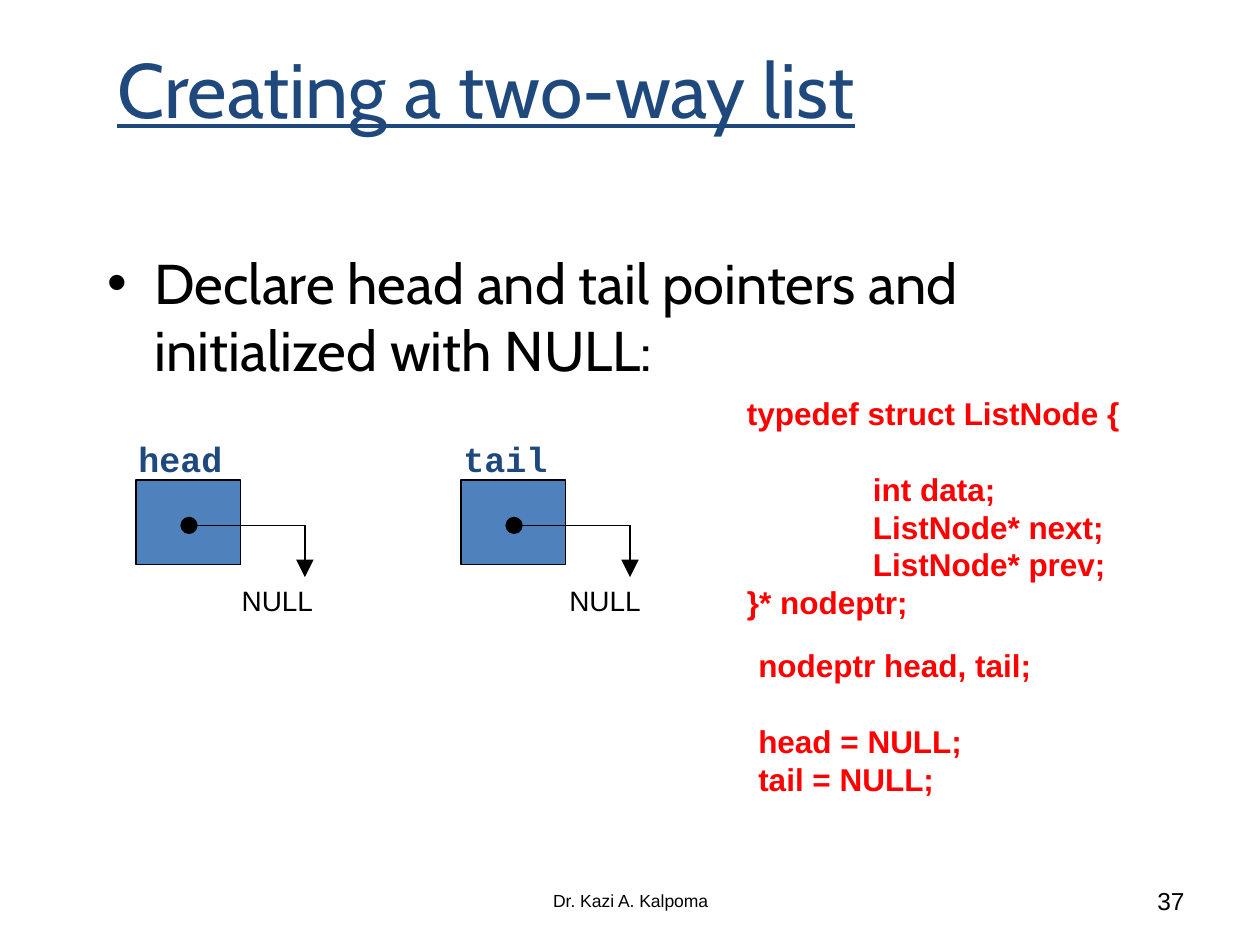
from pptx import Presentation
from pptx.dml.color import RGBColor
from pptx.enum.shapes import MSO_CONNECTOR as CONN, MSO_SHAPE as SHAPE
from pptx.enum.text import MSO_ANCHOR as ANCHOR, MSO_AUTO_SIZE as FIT, PP_ALIGN as ALIGN
from pptx.oxml.ns import qn
from pptx.util import Inches, Pt
from lxml.etree import SubElement

# Content
TITLE = "Creating a two-way list"
BODY = "Declare head and tail pointers and initialized with NULL:"
POINTERS = ["head", "tail"]
TARGET = "NULL"
AUTHOR, NUMBER = "Dr. Kazi A. Kalpoma", "37"
# Code lines: text, indent in inches, blank lines above
STRUCT = [
    ("typedef struct ListNode {", 0, 0),
    ("int data;", 1, 1),
    ("ListNode* next;", 1, 0),
    ("ListNode* prev;", 1, 0),
    ("}* nodeptr;", 0, 0),
]
INIT = [
    ("nodeptr head, tail;", 0, 0),
    ("head = NULL;", 0, 1),
    ("tail = NULL;", 0, 0),
]

COLORS = {"navy": "1F497D", "box": "4F81BD", "code": "FF0000", "ink": "000000"}
SANS, MONO, HEADING = "Arial", "Courier New", "Cabin"
CODE_SIZE, CODE_LINE = 18, 21.6
DIAGRAM_LEFT, DIAGRAM_STEP = 1.0, 2.58


def color(name):
    return RGBColor.from_string(COLORS[name])


def place(sp, x, y, w, h):
    sp.left, sp.top, sp.width, sp.height = (Inches(v) for v in (x, y, w, h))


def write(p, text, size, font, ink, bold=False, align=ALIGN.LEFT):
    p.alignment = align
    p.space_before = Pt(0)
    r = p.add_run()
    r.text = text
    r.font.size, r.font.name, r.font.bold = Pt(size), font, bold
    r.font.color.rgb = color(ink)
    return r


def text_box(shapes, x, y, w, h, anchor=ANCHOR.TOP):
    tf = shapes.add_textbox(*(Inches(v) for v in (x, y, w, h))).text_frame
    tf.word_wrap, tf.vertical_anchor = True, anchor
    return tf


def code_block(shapes, lines, x, y, w, h):
    tf = text_box(shapes, x, y, w, h)
    for i, (text, indent, blanks) in enumerate(lines):
        p = tf.paragraphs[0] if i == 0 else tf.add_paragraph()
        write(p, text, CODE_SIZE, SANS, "code", bold=True)
        p.line_spacing = Pt(CODE_LINE)
        p.space_before = Pt(blanks * CODE_LINE)
        p._p.get_or_add_pPr().set("marL", str(Inches(indent)))


def line(shapes, x1, y1, x2, y2, end, kind):
    cx = shapes.add_connector(CONN.STRAIGHT, *(Inches(v) for v in (x1, y1, x2, y2)))
    cx.line.color.rgb, cx.line.width = color("ink"), Pt(1)
    SubElement(cx.line._get_or_add_ln(), qn("a:" + end), type=kind, w="lg", len="lg")
    SubElement(cx._element.spPr, qn("a:effectLst"))


def pointer(shapes, name, x):
    sp = shapes.add_shape(SHAPE.RECTANGLE, *(Inches(v) for v in (x + 0.08, 3.81, 0.83, 0.67)))
    sp.shadow.inherit = False
    sp.fill.solid()
    sp.fill.fore_color.rgb = color("box")
    sp.line.color.rgb, sp.line.width = color("ink"), Pt(1)
    tf = text_box(shapes, x, 3.42, 1.17, 0.44)
    write(tf.paragraphs[0], name, 20, MONO, "navy", bold=True)
    line(shapes, x + 0.5, 4.17, x + 1.42, 4.17, "headEnd", "oval")
    line(shapes, x + 1.42, 4.17, x + 1.42, 4.58, "tailEnd", "triangle")


prs = Presentation()
prs.slide_width, prs.slide_height = Inches(10), Inches(7.5)
s = prs.slides.add_slide(prs.slide_layouts[1])
title, body = s.placeholders

# Title and bullet
place(title, 0.83, 0.08, 7.25, 1.23)
place(body, 0.75, 1.92, 8.5, 0.75)
for sp, text, size, ink in ((title, TITLE, 44, "navy"), (body, BODY, 32, "ink")):
    sp.text_frame.auto_size = FIT.NONE
    r = write(sp.text_frame.paragraphs[0], text, size, HEADING, ink)
    r.font.underline = sp is title

# Pointer diagrams, each pointing at NULL
for i, name in enumerate(POINTERS):
    x = DIAGRAM_LEFT + i * DIAGRAM_STEP
    pointer(s.shapes.add_group_shape().shapes, name, x)
    tf = text_box(s.shapes, x + 0.82 + 0.02 * i, 4.58, 1, 0.37)
    write(tf.paragraphs[0], TARGET, 16, SANS, "ink")

# Code
code_block(s.shapes, STRUCT, 5.83, 3.08, 3.5, 1.9)
code_block(s.shapes, INIT, 5.92, 5.08, 4, 1.6)

# Footer
for text, x, w, size, align in ((AUTHOR, 3.42, 3.17, 10, ALIGN.CENTER),
                                (NUMBER, 7.17, 2.33, 14, ALIGN.RIGHT)):
    tf = text_box(s.shapes, x, 6.95, w, 0.4, ANCHOR.MIDDLE)
    write(tf.paragraphs[0], text, size, SANS, "ink", align=align)

prs.save("out.pptx")
